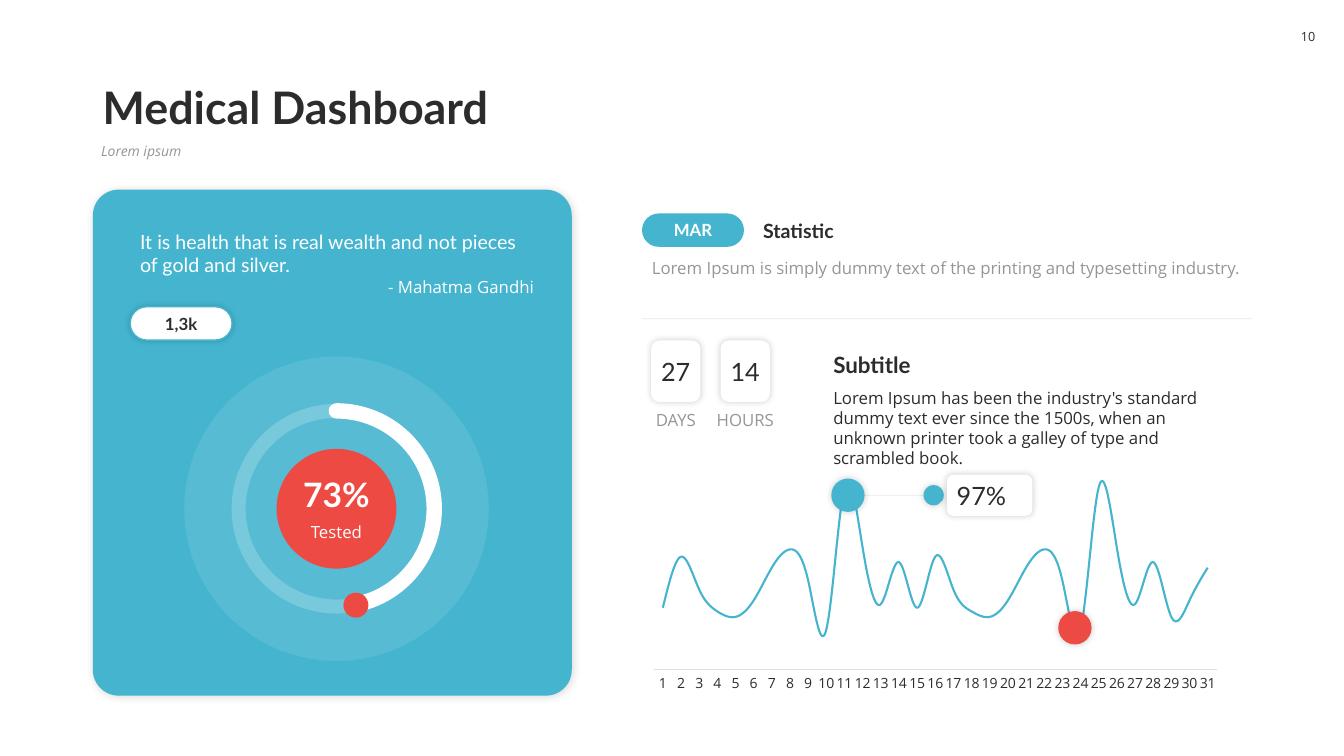
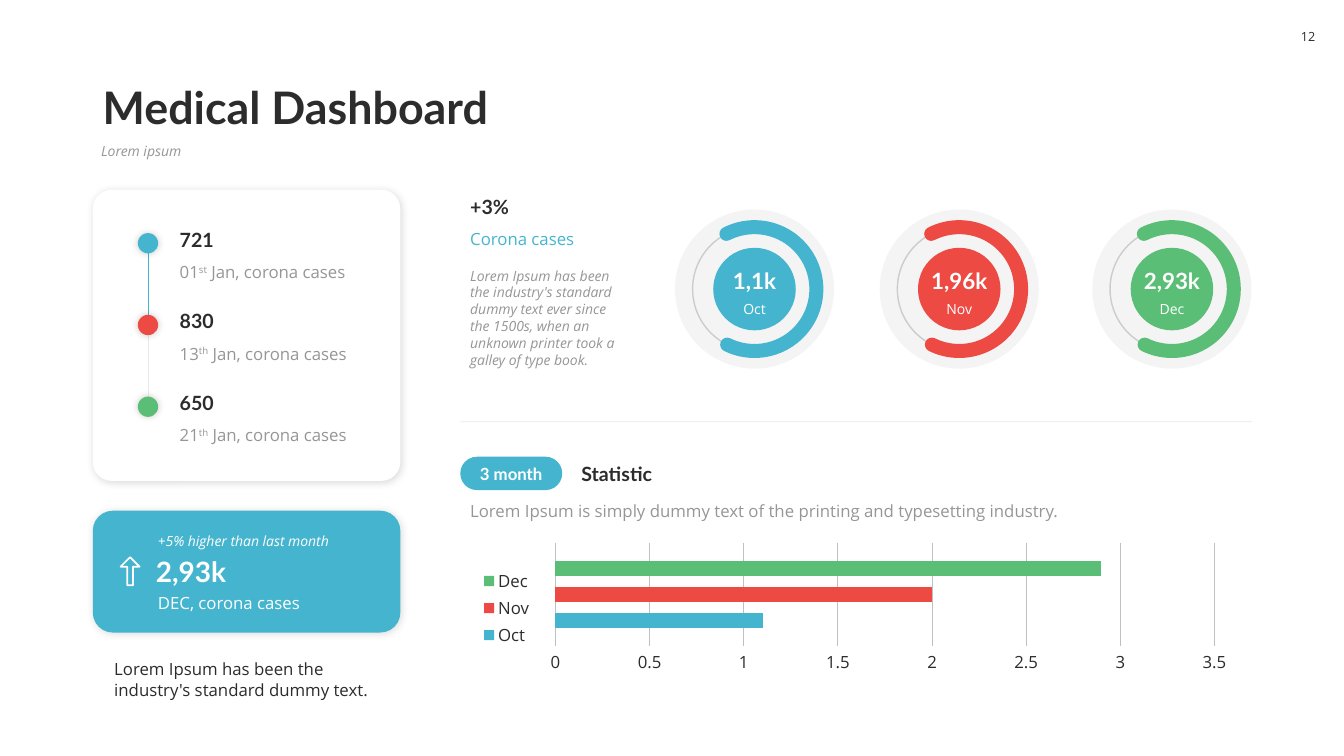
from dataclasses import dataclass, replace

from lxml.etree import SubElement
from pptx import Presentation
from pptx.chart.data import CategoryChartData
from pptx.dml.color import RGBColor
from pptx.enum.chart import XL_CHART_TYPE as ChartType, XL_LEGEND_POSITION as LegendPosition
from pptx.enum.chart import XL_TICK_MARK as TickMark
from pptx.enum.shapes import MSO_CONNECTOR as Connector, MSO_SHAPE as Preset
from pptx.enum.text import MSO_ANCHOR as Anchor, PP_ALIGN as Align
from pptx.oxml.ns import qn
from pptx.util import Cm, Pt

BLUE, RED, GREEN = "45B5CF", "ED4A43", "5BBE77"
INK, GREY, WHITE = "2C2C2C", "969696", "FFFFFF"
AXIS_GREY, GRID_GREY = "DFDFDF", "C0C0C0"
HEAD_FONT, BODY_FONT = "Lato", "Open Sans"
# Shadows: opacity in percent, blur and distance in points
CARD_SHADOW, SOFT_SHADOW = (15, 6, 1), (20, 5, 0)
RIGHT_EDGE = 31.55


@dataclass(frozen=True)
class Style:
    size: float
    font: str = BODY_FONT
    color: str = INK
    bold: bool = False
    italic: bool = False


TITLE = Style(32, HEAD_FONT, bold=True)
HEADING = Style(14, HEAD_FONT, bold=True)
BADGE = Style(12, HEAD_FONT, bold=True)
FIGURE = Style(18, HEAD_FONT)
BODY = Style(12)
MUTED = Style(12, color=GREY)
LIGHT = Style(12, color=WHITE)
NOTE = Style(10, color=GREY, italic=True)


@dataclass(frozen=True)
class Box:
    """A rectangle in centimetres."""
    left: float
    top: float
    width: float
    height: float

    def inner(self, dx, dy, width, height):
        return Box(self.left + dx, self.top + dy, width, height)

    def disc(self, cx, cy, diameter):
        """Square box centred on a point given from this box's corner."""
        return self.inner(cx - diameter / 2, cy - diameter / 2, diameter, diameter)

    def lengths(self):
        return Cm(self.left), Cm(self.top), Cm(self.width), Cm(self.height)


@dataclass(frozen=True)
class DialLook:
    """Diameters in cm, line widths in points, angles in degrees."""
    ring: float
    core: float
    tint: str
    halo_opacity: int
    track_width: float
    arc_width: float
    start: float
    end: float
    value_style: Style
    label_style: Style
    value_row: tuple
    label_row: tuple


LARGE_DIAL = DialLook(4.93, 3.02, WHITE, 10, 10, 11, 270, 74.93,
                      Style(24, HEAD_FONT, WHITE, bold=True), LIGHT, (-0.99, 1.27), (0.19, 0.76))
SMALL_DIAL = DialLook(3.12, 2.08, INK, 5, 1, 10, 243.08, 116.19,
                      Style(16, HEAD_FONT, WHITE, bold=True), replace(LIGHT, size=10),
                      (-0.69, 0.94), (0.15, 0.69))


def rgb(value):
    return RGBColor.from_string(value)


def set_opacity(parent, percent):
    SubElement(parent.find(qn("a:solidFill"))[0], qn("a:alpha")).set("val", str(percent * 1000))


def add_run(paragraph, text, style, raised=False):
    run = paragraph.add_run()
    run.text = text
    font = run.font
    font.size, font.name = Pt(style.size), style.font
    font.bold, font.italic = style.bold, style.italic
    font.color.rgb = rgb(style.color)
    if raised:
        run._r.get_or_add_rPr().set("baseline", "30000")


def setup_frame(shape, anchor, inset_x, inset_y):
    frame = shape.text_frame
    frame.word_wrap = True
    frame.vertical_anchor = anchor
    frame.margin_left = frame.margin_right = Cm(inset_x)
    frame.margin_top = frame.margin_bottom = Cm(inset_y)
    return frame.paragraphs[0]


def add_text(slide, box, text, style, align=Align.LEFT, anchor=Anchor.TOP, inset=0.25):
    """Text box with one paragraph, which is returned so that runs can follow."""
    shape = slide.shapes.add_textbox(*box.lengths())
    paragraph = setup_frame(shape, anchor, inset, 0.13)
    paragraph.alignment = align
    add_run(paragraph, text, style)
    return paragraph


def add_figure(slide, preset, box, fill=None, opacity=None, line=None, shadow=None, adjust=()):
    """Preset shape; line is a colour and a width in points."""
    shape = slide.shapes.add_shape(preset, *box.lengths())
    for index, value in enumerate(adjust):
        shape.adjustments[index] = value
    properties = shape.element.spPr
    if fill:
        shape.fill.solid()
        shape.fill.fore_color.rgb = rgb(fill)
        if opacity:
            set_opacity(properties, opacity)
    else:
        shape.fill.background()
    if line:
        shape.line.color.rgb = rgb(line[0])
        shape.line.width = Pt(line[1])
    else:
        shape.line.fill.background()
    shape.shadow.inherit = False
    if shadow:
        strength, blur, distance = shadow
        outer = SubElement(properties.find(qn("a:effectLst")), qn("a:outerShdw"),
                           blurRad=str(Pt(blur)), dist=str(Pt(distance)), dir="2700000")
        color = SubElement(outer, qn("a:srgbClr"), val="000000")
        SubElement(color, qn("a:alpha"), val=str(strength * 1000))
    return shape


def add_dot(slide, box, color, shadow=SOFT_SHADOW):
    return add_figure(slide, Preset.OVAL, box, color, shadow=shadow)


def add_card(slide, box, color, rounding):
    add_figure(slide, Preset.ROUNDED_RECTANGLE, box, color, shadow=CARD_SHADOW, adjust=(rounding,))


def add_pill(slide, box, text, style, fill, rounding=0.5, **look):
    shape = add_figure(slide, Preset.ROUNDED_RECTANGLE, box, fill, adjust=(rounding,), **look)
    paragraph = setup_frame(shape, Anchor.MIDDLE, 0, 0)
    paragraph.alignment = Align.CENTER
    add_run(paragraph, text, style)


def add_tile(slide, box, text, align=Align.CENTER, inset=0):
    shape = add_figure(slide, Preset.ROUNDED_RECTANGLE, box, WHITE, shadow=SOFT_SHADOW)
    paragraph = setup_frame(shape, Anchor.MIDDLE, inset, 0.13)
    paragraph.alignment = align
    add_run(paragraph, text, FIGURE)


def add_rule(slide, x1, y1, x2, y2, color=INK, opacity=10):
    rule = slide.shapes.add_connector(Connector.STRAIGHT, Cm(x1), Cm(y1), Cm(x2), Cm(y2))
    rule.line.color.rgb = rgb(color)
    rule.line.width = Pt(0.5)
    properties = rule.element.spPr
    set_opacity(properties.find(qn("a:ln")), opacity)
    SubElement(properties, qn("a:effectLst"))


def add_dial(slide, box, look, value, label, arc_color, core_color):
    """Halo filling the box, with track, arc, core and two lines of text."""
    middle = box.width / 2
    ring = box.disc(middle, middle, look.ring)
    add_figure(slide, Preset.OVAL, box, look.tint, look.halo_opacity)
    track = add_figure(slide, Preset.OVAL, ring, line=(look.tint, look.track_width))
    set_opacity(track.element.spPr.find(qn("a:ln")), 20)
    arc = add_figure(slide, Preset.ARC, ring, line=(arc_color, look.arc_width),
                     adjust=(look.start * 0.6, look.end * 0.6))
    arc.element.spPr.find(qn("a:ln")).set("cap", "rnd")
    add_dot(slide, box.disc(middle, middle, look.core), core_color, None)
    for text, style, (dy, height), anchor in (
            (value, look.value_style, look.value_row, Anchor.BOTTOM),
            (label, look.label_style, look.label_row, Anchor.TOP)):
        row = box.inner(middle - look.core / 2, middle + dy, look.core, height)
        add_text(slide, row, text, style, Align.CENTER, anchor, inset=0)


def add_chart(slide, box, kind, categories, series, plot):
    """Chart without title; plot is x, y, w, h as shares of the box."""
    data = CategoryChartData()
    data.categories = categories
    for name, values, _ in series:
        data.add_series(name, values)
    chart = slide.shapes.add_chart(kind, *box.lengths(), data).chart
    chart.has_title = chart.has_legend = False
    chart.font.size, chart.font.name = Pt(10), BODY_FONT
    chart.font.color.rgb = rgb(INK)
    chart.plots[0].vary_by_categories = False
    area = chart.element.find(".//" + qn("c:plotArea"))
    for old in area.findall(qn("c:layout")):
        area.remove(old)
    layout = SubElement(area, qn("c:layout"))
    area.insert(0, layout)
    manual = SubElement(layout, qn("c:manualLayout"))
    settings = [("layoutTarget", "inner"), ("xMode", "edge"), ("yMode", "edge"), *zip("xywh", plot)]
    for name, value in settings:
        SubElement(manual, qn("c:" + name)).set("val", str(value))
    return chart


def add_header(slide, number):
    title = add_text(slide, Box(2.34, 1.47, 29.21, 2.03), "Medical Dashboard", TITLE,
                     anchor=Anchor.BOTTOM)
    subtitle = add_text(slide, Box(2.3, 3.51, 29.26, 0.91), "Lorem ipsum", NOTE)
    title.line_spacing = subtitle.line_spacing = 0.9
    add_pill(slide, Box(32.51, 0.47, 0.91, 0.89), number, Style(9), WHITE, 0.27)


def add_statistic(slide, box, period):
    add_pill(slide, box.inner(0, 0, 2.57, 0.84), period, replace(BADGE, color=WHITE), BLUE)
    add_text(slide, box.inner(2.8, 0, 12.55, 0.86), "Statistic", HEADING, anchor=Anchor.BOTTOM)
    add_text(slide, box.inner(0, 0.99, box.width, 0.76),
             "Lorem Ipsum is simply dummy text of the printing and typesetting industry.", MUTED)


def add_quote_card(slide, box):
    add_card(slide, box, BLUE, 0.054)
    quote = add_text(slide, box.inner(0.94, 0.88, 10.43, 1.96),
                     "It is health that is real wealth and not pieces of gold and silver.",
                     Style(14, HEAD_FONT, WHITE))
    author = quote._parent.add_paragraph()
    author.alignment = Align.RIGHT
    add_run(author, "- Mahatma Gandhi", LIGHT)
    add_pill(slide, box.inner(0.94, 2.95, 2.57, 0.84), "1,3k", BADGE, WHITE,
             line=(BLUE, 1), shadow=SOFT_SHADOW)
    add_dial(slide, box.disc(6.14, 8.04, 7.67), LARGE_DIAL, "73%", "Tested", WHITE, RED)
    add_dot(slide, box.disc(6.63, 10.47, 0.63), RED, None)


def add_countdown(slide, box):
    step = box.width / 2
    for index, (value, unit) in enumerate((("27", "DAYS"), ("14", "HOURS"))):
        cell = box.inner(index * step, 0, step, box.height)
        add_tile(slide, cell.inner(0.25, 0, 1.24, 1.55), value)
        add_text(slide, cell.inner(0, 1.62, step, 0.76), unit, MUTED, Align.CENTER, inset=0)


def add_pulse_chart(slide, box):
    values = [34, 62, 44, 32, 29, 38, 56, 66, 49, 22, 100, 67, 36, 59, 34, 62, 44, 32, 29, 38,
              56, 66, 49, 22, 100, 67, 36, 59, 29, 38, 56]
    days = [str(day) for day in range(1, len(values) + 1)]
    chart = add_chart(slide, box, ChartType.LINE_STACKED, days, [("Series 1", values, BLUE)],
                      (0.02, 0.01, 0.96, 0.88))
    series = chart.plots[0].series[0]
    series.smooth = True
    series.format.line.color.rgb = rgb(BLUE)
    series.format.line.width = Pt(1.5)
    chart.value_axis.visible = chart.value_axis.has_major_gridlines = False
    chart.value_axis.minimum_scale, chart.value_axis.maximum_scale = 0, 120
    axis = chart.category_axis
    axis.major_tick_mark = TickMark.NONE
    axis.format.line.color.rgb = rgb(AXIS_GREY)
    axis.format.line.width = Pt(0.75)


def add_pulse_markers(slide, box):
    level = 1.18
    add_dot(slide, box.disc(5.19, level, 0.84), BLUE)
    add_dot(slide, box.disc(10.91, 4.52, 0.84), RED)
    y = box.top + level
    add_rule(slide, box.left + 5.61, y, box.left + 7.16, y)
    add_dot(slide, box.disc(7.35, level, 0.51), BLUE)
    add_tile(slide, box.inner(7.68, 0.66, 2.16, 1.04), "97%", Align.LEFT, 0.2)


def add_timeline_card(slide, box):
    add_card(slide, box, WHITE, 0.065)
    entries = (("721", "01", "st", BLUE, (BLUE, 100)), ("830", "13", "th", RED, (INK, 10)),
               ("650", "21", "th", GREEN, None))
    for index, (count, day, suffix, color, link) in enumerate(entries):
        row = box.inner(0, 0.82 + 2.06 * index, box.width, 2.06)
        add_text(slide, row.inner(1.94, 0, 5.23, 0.86), count, HEADING, anchor=Anchor.BOTTOM)
        date = add_text(slide, row.inner(1.94, 0.86, 5.23, 0.76), day, MUTED)
        add_run(date, suffix, MUTED, raised=True)
        add_run(date, " Jan, corona cases", MUTED)
        if link:
            x = row.left + 1.4
            add_rule(slide, x, row.top + 0.78, x, row.top + 2.36, *link)
        add_dot(slide, row.disc(1.39, 0.53, 0.51), color)


def add_growth_card(slide, box):
    add_card(slide, box, BLUE, 0.164)
    add_figure(slide, Preset.UP_ARROW, box.inner(0.7, 1.17, 0.48, 0.71), line=(WHITE, 1.25),
               adjust=(0.3, 0.5))
    add_text(slide, box.inner(1.39, 0.42, 5.79, 0.69), "+5% higher than last month",
             replace(NOTE, color=WHITE))
    add_text(slide, box.inner(1.39, 0.96, 5.79, 1.12), "2,93k",
             Style(20, HEAD_FONT, WHITE, bold=True), anchor=Anchor.MIDDLE, inset=0.2)
    add_text(slide, box.inner(1.39, 1.94, 5.79, 0.76), "DEC, corona cases", LIGHT)


def add_summary(slide, box):
    add_text(slide, box.inner(0, 0, box.width, 0.86), "+3%", HEADING, anchor=Anchor.BOTTOM)
    add_text(slide, box.inner(0, 0.86, box.width, 0.76), "Corona cases", replace(BODY, color=BLUE))
    add_text(slide, box.inner(0, 1.82, box.width, 2.82),
             "Lorem Ipsum has been the industry's standard dummy text ever since the 1500s, "
             "when an unknown printer took a galley of type book.", NOTE)


def add_month_chart(slide, box):
    months = [("Oct", [1.1], BLUE), ("Nov", [2.0], RED), ("Dec", [2.9], GREEN)]
    chart = add_chart(slide, box, ChartType.BAR_CLUSTERED, ["1"], months, (0.11, 0.02, 0.85, 0.76))
    plot = chart.plots[0]
    plot.gap_width, plot.overlap = 250, -80
    for series, (_, _, color) in zip(plot.series, months):
        series.format.fill.solid()
        series.format.fill.fore_color.rgb = rgb(color)
    chart.category_axis.visible = False
    axis = chart.value_axis
    axis.minimum_scale, axis.maximum_scale, axis.major_unit = 0, 3.5, 0.5
    axis.major_tick_mark = TickMark.NONE
    axis.format.line.fill.background()
    axis.major_gridlines.format.line.color.rgb = rgb(GRID_GREY)
    axis.major_gridlines.format.line.width = Pt(0.75)
    chart.has_legend = True
    legend = chart.legend
    legend.position, legend.include_in_layout = LegendPosition.LEFT, False
    for font in (axis.tick_labels.font, legend.font):
        font.size, font.name = Pt(12), BODY_FONT
        font.color.rgb = rgb(INK)


def build_daily_slide(slide):
    add_quote_card(slide, Box(2.34, 4.78, 12.07, 12.75))
    add_header(slide, "10")
    add_statistic(slide, Box(16.18, 5.38, 15.37, 1.75), "MAR")
    add_rule(slide, 16.18, 8.03, RIGHT_EDGE, 8.03)
    pulse = Box(16.18, 11.3, 14.78, 6.27)
    add_pulse_chart(slide, pulse)
    add_countdown(slide, Box(16.16, 8.58, 3.5, 2.39))
    add_text(slide, Box(20.75, 8.71, 10.82, 0.94), "Subtitle", replace(HEADING, size=16),
             anchor=Anchor.BOTTOM)
    add_text(slide, Box(20.75, 9.63, 10.82, 1.8),
             "Lorem Ipsum has been the industry's standard dummy text ever since the 1500s, "
             "when an unknown printer took a galley of type and scrambled book.", BODY)
    add_pulse_markers(slide, pulse)


def build_monthly_slide(slide):
    add_header(slide, "12")
    add_timeline_card(slide, Box(2.34, 4.78, 7.75, 7.34))
    add_growth_card(slide, Box(2.34, 12.87, 7.75, 3.07))
    add_text(slide, Box(2.63, 16.48, 7.47, 1.27),
             "Lorem Ipsum has been the industry's standard dummy text.", BODY)
    add_summary(slide, Box(11.6, 4.78, 4.19, 4.65))
    for left, value, month, color in ((17.01, "1,1k", "Oct", BLUE), (22.17, "1,96k", "Nov", RED),
                                      (27.53, "2,93k", "Dec", GREEN)):
        add_dial(slide, Box(left, 5.28, 4.01, 4.01), SMALL_DIAL, value, month, color, color)
    add_rule(slide, 11.6, 10.63, RIGHT_EDGE, 10.63)
    add_statistic(slide, Box(11.6, 11.51, 15.37, 1.75), "3 month")
    add_month_chart(slide, Box(11.85, 13.61, 19.54, 3.43))


def main():
    presentation = Presentation()
    presentation.slide_width, presentation.slide_height = Cm(33.87), Cm(19.05)
    for build in (build_daily_slide, build_monthly_slide):
        build(presentation.slides.add_slide(presentation.slide_layouts[6]))
    presentation.save("out.pptx")


if __name__ == "__main__":
    main()
